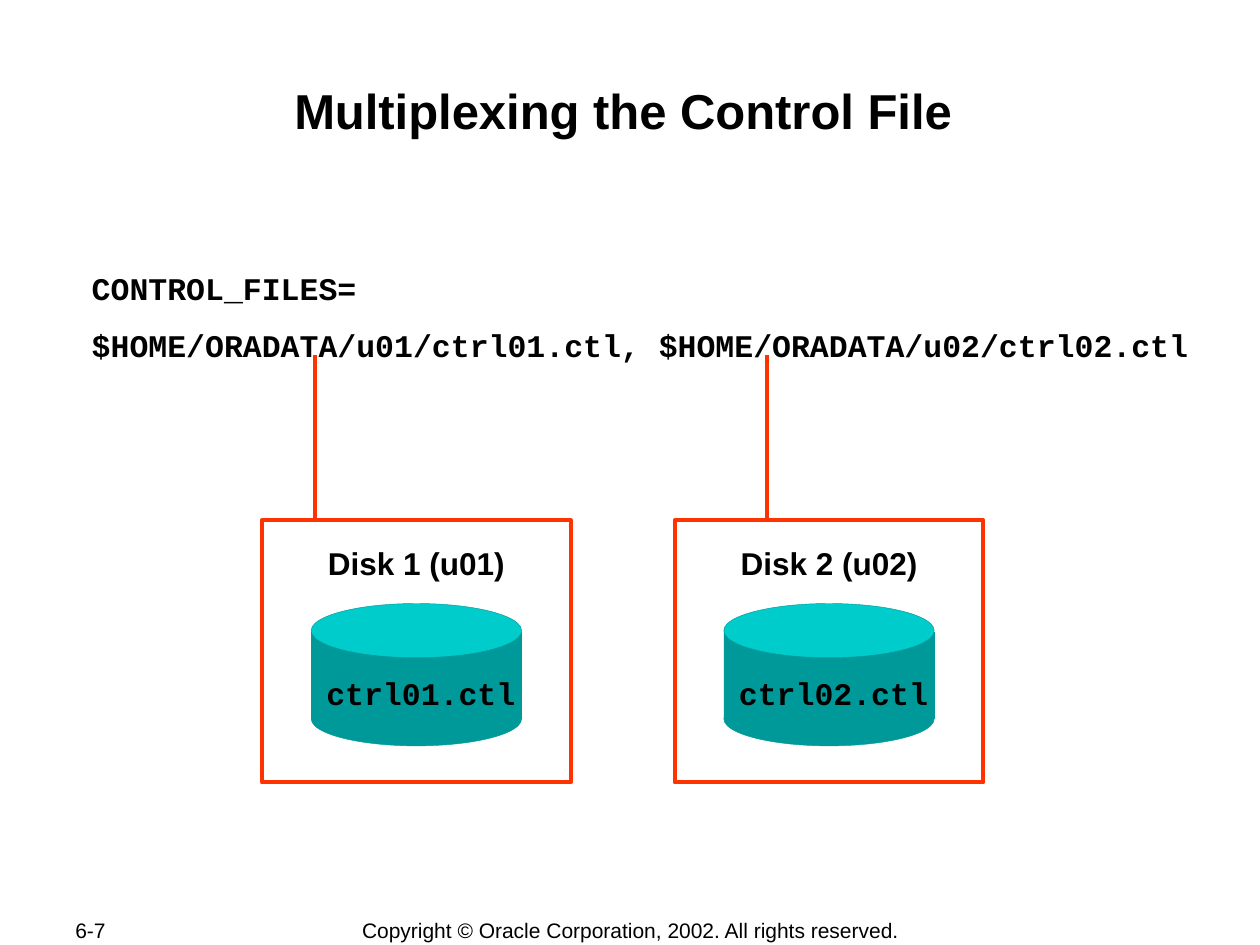
from lxml import etree
from pptx import Presentation
from pptx import util as u
from pptx.dml.color import RGBColor
from pptx.enum import shapes, text
from pptx.oxml.ns import qn

COLORS = {"ink": "000000", "paper": "FFFFFF", "frame": "FF3300",
          "body": "009999", "lid": "00CCCC"}
SLIDE_W, SLIDE_H = u.Inches(10), u.Inches(7.5)
SANS, MONO = "Arial", "Courier New"
DISK_LEFT, DISK_PITCH, DISK_W = 20.8, 32.75, 24.5
DISK_TOP, DISK_H = 55.07, 27.73
CYLINDER_W = 16.7


def color(name):
    return RGBColor.from_string(COLORS[name])


def across(percent):
    return u.Emu(round(SLIDE_W * percent / 100))


def down(percent):
    return u.Emu(round(SLIDE_H * percent / 100))


def area(left, top, width, height):
    return across(left), down(top), across(width), down(height)


def set_frame(frame, wrap, anchor, inset=(0.1, 0.05)):
    frame.word_wrap = wrap
    frame.vertical_anchor = anchor
    frame.margin_left = frame.margin_right = u.Inches(inset[0])
    frame.margin_top = frame.margin_bottom = u.Inches(inset[1])


def add_run(paragraph, wording, font, size, bold=True):
    run = paragraph.add_run()
    run.text = wording
    run.font.name = font
    run.font.size = u.Pt(size)
    run.font.bold = bold
    run.font.color.rgb = color("ink")


def add_label(slide, box, runs, align, size=18, bold=True, wrap=False):
    frame = slide.shapes.add_textbox(*area(*box)).text_frame
    set_frame(frame, wrap, text.MSO_ANCHOR.MIDDLE)
    paragraph = frame.paragraphs[0]
    paragraph.alignment = align
    for wording, font in runs:
        add_run(paragraph, wording, font, size, bold)
    return frame


def add_title(slide, wording):
    title = slide.shapes.title
    title.left, title.top, title.width, title.height = area(10, 8.4, 80, 12.8)
    set_frame(title.text_frame, True, text.MSO_ANCHOR.TOP, (0.01, 0.01))
    paragraph = title.text_frame.paragraphs[0]
    paragraph.alignment = text.PP_ALIGN.CENTER
    add_run(paragraph, wording, SANS, 28)


def add_parameter(slide, name, value):
    frame = add_label(slide, (6.3, 27.73, 89, 11.47), [(name, MONO)],
                      text.PP_ALIGN.LEFT)
    files = frame.add_paragraph()
    files.space_before = u.Pt(11.2)
    add_run(files, value, MONO, 18)


def add_block(parent, preset, box, fill, line, weight):
    block = parent.add_shape(preset, *area(*box))
    block.shadow.inherit = False
    if fill:
        block.fill.solid()
        block.fill.fore_color.rgb = color(fill)
    else:
        block.fill.background()
    block.line.color.rgb = color(line)
    block.line.width = u.Pt(weight)


def add_cylinder(slide, left):
    cylinder = slide.shapes.add_group_shape().shapes
    rect, oval = shapes.MSO_SHAPE.RECTANGLE, shapes.MSO_SHAPE.OVAL
    for preset, top, height, fill in ((rect, 66.93, 9.07, "body"),
                                      (oval, 63.87, 5.73, "lid"),
                                      (oval, 73.2, 5.73, "body")):
        add_block(cylinder, preset, (left, top, CYLINDER_W, height),
                  fill, "body", 0.25)


def add_link(slide, x):
    link = slide.shapes.add_connector(
        shapes.MSO_CONNECTOR.STRAIGHT,
        across(x), down(37.6), across(x), down(DISK_TOP))
    link.line.color.rgb = color("frame")
    link.line.width = u.Pt(2.25)
    etree.SubElement(link._element.spPr, qn("a:effectLst"))


def add_disk(slide, column, caption, file_name, link_x):
    left = DISK_LEFT + column * DISK_PITCH
    middle = left + DISK_W / 2
    center = text.PP_ALIGN.CENTER
    add_link(slide, link_x)
    add_block(slide.shapes, shapes.MSO_SHAPE.RECTANGLE,
              (left, DISK_TOP, DISK_W, DISK_H), None, "frame", 2.25)
    add_label(slide, (middle - 8.85, 56.93, 17.7, 5.33), [(caption, SANS)],
              center, wrap=True)
    add_cylinder(slide, middle - CYLINDER_W / 2)
    add_label(slide, (middle - 9.1, 70.8, 18.2, 5.07),
              [(" ", SANS), (file_name, MONO)], center)


def main():
    deck = Presentation()
    deck.slide_width, deck.slide_height = SLIDE_W, SLIDE_H
    slide = deck.slides.add_slide(deck.slide_layouts[5])
    slide.background.fill.solid()
    slide.background.fill.fore_color.rgb = color("paper")

    add_title(slide, "Multiplexing the Control File ")
    add_parameter(slide, "CONTROL_FILES=",
                  "$HOME/ORADATA/u01/ctrl01.ctl, $HOME/ORADATA/u02/ctrl02.ctl")
    disks = (("Disk 1 (u01)", "ctrl01.ctl", 25),
             ("Disk 2 (u02)", "ctrl02.ctl", 60.9))
    for column, (caption, file_name, link_x) in enumerate(disks):
        add_disk(slide, column, caption, file_name, link_x)

    add_label(slide, (5, 97.07, 10.6, 2.67), [("6-7", SANS)],
              text.PP_ALIGN.LEFT, 12, False)
    add_label(slide, (27.6, 97.07, 44.9, 2.8),
              [("Copyright © Oracle Corporation, 2002. All rights reserved.", SANS)],
              text.PP_ALIGN.CENTER, 12, False)
    deck.save("out.pptx")


if __name__ == "__main__":
    main()
